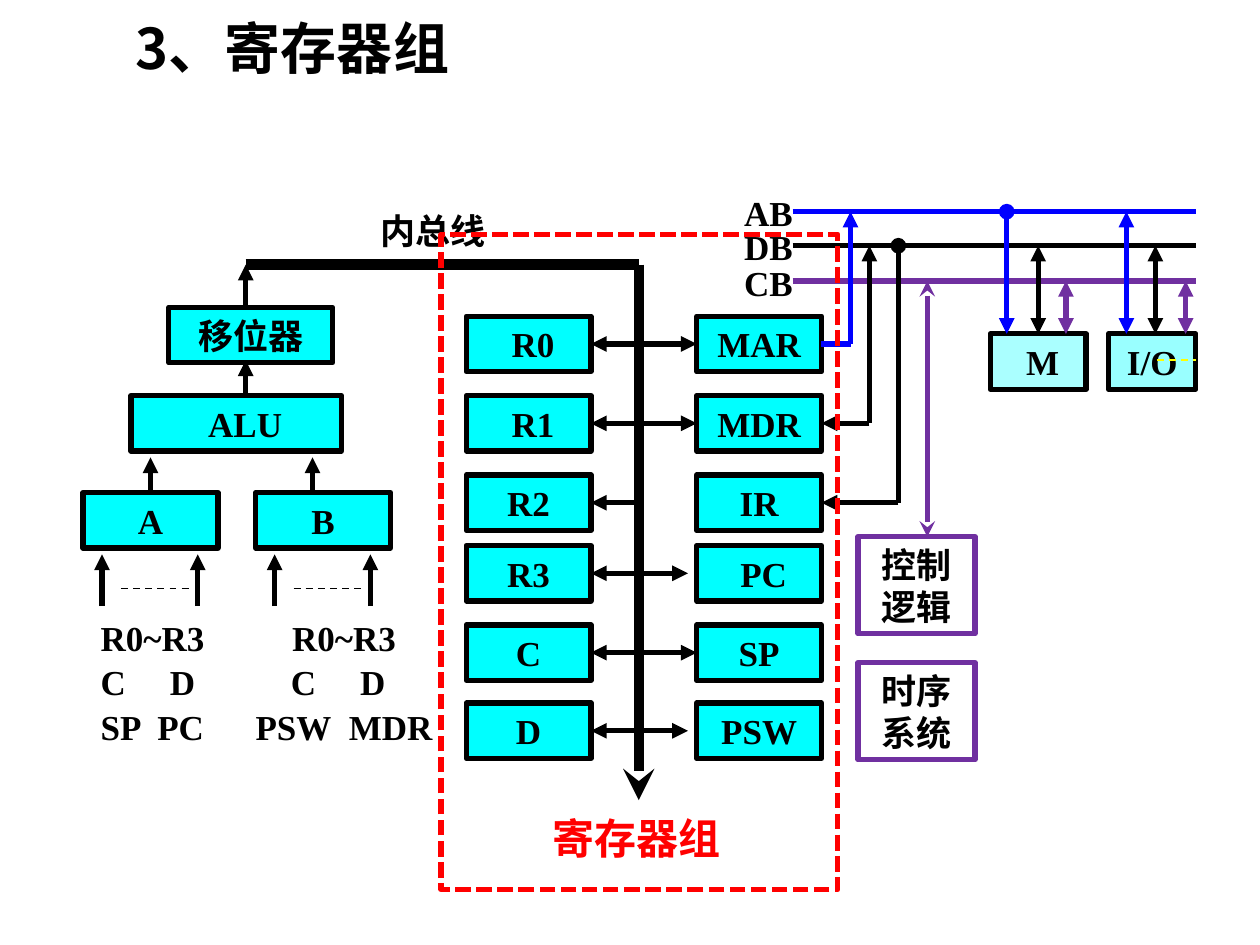
from lxml.etree import SubElement
from pptx import Presentation
from pptx.dml.color import RGBColor
from pptx.enum.dml import MSO_LINE_DASH_STYLE as DASH
from pptx.enum.shapes import MSO_CONNECTOR, MSO_SHAPE
from pptx.enum.text import MSO_ANCHOR, PP_ALIGN
from pptx.oxml.ns import qn
from pptx.util import Inches, Pt

LATIN, CJK = "Times New Roman", "Noto Sans CJK SC"
BLACK, BLUE, PURPLE, RED = "000000", "0000FF", "7030A0", "FF0000"
CYAN = "00FFFF"
TOP, LEFT, RIGHT = 0, 1, 3
BOX_HEIGHT = 4.4

presentation = Presentation()
presentation.slide_width = Inches(10)
presentation.slide_height = Inches(7.5)
slide = presentation.slides.add_slide(presentation.slide_layouts[6])
CELL = presentation.slide_width / 100  # the slide is 100 columns by 75 rows
color_of = RGBColor.from_string


def add_box(label, column, row, columns, rows=BOX_HEIGHT, fill=None, border=None,
            size=20, font=LATIN, color=BLACK, align=PP_ALIGN.CENTER, indent=0):
    """Add a bordered rectangle, or a plain text box when there is no border."""
    place = [round(n * CELL) for n in (column, row, columns, rows)]
    if border:
        shape = slide.shapes.add_shape(MSO_SHAPE.RECTANGLE, *place)
        shape.shadow.inherit = False
        shape.line.color.rgb = color_of(border)
        shape.line.width = Pt(3)
        if fill:
            shape.fill.solid()
            shape.fill.fore_color.rgb = color_of(fill)
        else:
            shape.fill.background()
    else:
        shape = slide.shapes.add_textbox(*place)
    frame = shape.text_frame
    frame.word_wrap = True
    frame.vertical_anchor = MSO_ANCHOR.MIDDLE
    frame.margin_left = round((1 + indent) * CELL)
    for index, line in enumerate(label.splitlines()):
        paragraph = frame.add_paragraph() if index else frame.paragraphs[0]
        paragraph.alignment = align
        run = paragraph.add_run()
        run.text = line
        run.font.name = font
        run.font.size = Pt(size)
        run.font.bold = True
        run.font.color.rgb = color_of(color)
        SubElement(run.font._element, qn("a:ea"), typeface=CJK)
    return shape


def add_line(x1, y1, x2, y2, color=BLACK, width=3, head=None, tail=None, dash=None):
    """Add a straight line; head is the arrowhead at its start, tail at its end."""
    ends = [round(n * CELL) for n in (x1, y1, x2, y2)]
    line = slide.shapes.add_connector(MSO_CONNECTOR.STRAIGHT, *ends)
    line.line.color.rgb = color_of(color)
    line.line.width = Pt(width)
    if dash:
        line.line.dash_style = dash
    outline = line.line._get_or_add_ln()
    for tag, arrow in (("a:headEnd", head), ("a:tailEnd", tail)):
        if arrow:
            SubElement(outline, qn(tag), type=arrow)
    SubElement(line._element.spPr, qn("a:effectLst"))
    return line


add_box("3、寄存器组", 9.8, 0.5, 66.1, 6.4, size=32, font=CJK, align=PP_ALIGN.LEFT)

# Arithmetic unit: latches A and B feed the ALU, then the shifter
latch_a = add_box("A", 6.6, 39.1, 10.7, fill=CYAN, border=BLACK)
add_box("B", 20.3, 39.1, 10.7, fill=CYAN, border=BLACK)
add_box("ALU", 10.4, 31.4, 16.7, fill=CYAN, border=BLACK, indent=1.4)
add_box("移位器", 13.4, 24.4, 13, fill=CYAN, border=BLACK)
add_line(11.95, 39.1, 11.95, 36.3, tail="triangle").begin_connect(latch_a, TOP)
for x, start, end in ((24.8, 39.1, 36.3), (19.5, 31.4, 28.6), (19.5, 24.4, 21)):
    add_line(x, start, x, end, tail="triangle")
for x in (8.1, 21.8):
    for input_x in (x, x + 7.6):
        add_line(input_x, 48.1, input_x, 44, tail="triangle")
    add_line(x + 1.5, 46.7, x + 6.9, 46.7, width=1, dash=DASH.DASH)

sources = add_box("R0~R3\tR0~R3\nC\tD\tC\tD\nSP\tPC\tPSW\tMDR", 7, 49.6, 29.2, 10.4,
                  align=PP_ALIGN.LEFT)
sources.text_frame.vertical_anchor = MSO_ANCHOR.TOP
tab_rows = ((15.2,), (5.5, 15.1, 20.6), (4.5, 12.3, 19.7))
for index, (paragraph, stops) in enumerate(zip(sources.text_frame.paragraphs, tab_rows)):
    paragraph.line_spacing = 0.6
    if index:
        paragraph.space_before = Pt(11)
    tabs = SubElement(paragraph._p.get_or_add_pPr(), qn("a:tabLst"))
    for stop in stops:
        SubElement(tabs, qn("a:tab"), pos=str(round(stop * CELL)), algn="l")

# Internal bus
add_box("内总线", 26.4, 16.1, 16)
add_line(19.5, 21, 50.7, 21, width=6)
add_line(50.7, 21, 50.7, 63.5, width=6, tail="stealth")

# Registers: row, left name and indent, right name and indent, end of the bus link
REGISTER_WIDTH, LEFT_X, RIGHT_X = 9.9, 37, 55.3
registers = (
    (25.1, "R0", 0.7, "MAR", 0, RIGHT_X),
    (31.4, "R1", 0.7, "MDR", 0, RIGHT_X),
    (37.7, "R2", 0, "IR", 0, 50.8),
    (43.3, "R3", 0, "PC", 0.7, 54.6),
    (49.6, "C", 0, "SP", 0, RIGHT_X),
    (55.8, "D", 0, "PSW", 0, 54.6),
)
right_register = {}
for row, left_name, left_indent, right_name, right_indent, link_end in registers:
    left_box = add_box(left_name, LEFT_X, row, REGISTER_WIDTH, fill=CYAN,
                       border=BLACK, indent=left_indent)
    right_box = add_box(right_name, RIGHT_X, row, REGISTER_WIDTH, fill=CYAN,
                        border=BLACK, indent=right_indent)
    right_register[right_name] = right_box
    middle = row + BOX_HEIGHT / 2
    link = add_line(link_end, middle, LEFT_X + REGISTER_WIDTH, middle,
                    head=None if right_name == "IR" else "triangle", tail="triangle")
    link.end_connect(left_box, RIGHT)
    if link_end == RIGHT_X:
        link.begin_connect(right_box, LEFT)

# System buses
AB_ROW, DB_ROW, CB_ROW = 16.8, 19.5, 22.3
for name, row, color in (("AB", AB_ROW, BLUE), ("DB", DB_ROW, BLACK),
                         ("CB", CB_ROW, PURPLE)):
    add_box(name, 56.8, row - 2.1, 8.4)
    add_line(62.9, row, 94.9, row, color)

# Registers to system buses: name, column of the riser, bus row, colour, arrow at register
for name, x, bus, color, arrow in (("MAR", 67.5, AB_ROW, BLUE, None),
                                   ("MDR", 69, DB_ROW, BLACK, "triangle"),
                                   ("IR", 71.3, DB_ROW, BLACK, "triangle")):
    box = right_register[name]
    middle = (box.top + box.height / 2) / CELL
    add_line(x, middle, RIGHT_X + REGISTER_WIDTH, middle, color,
             tail=arrow).end_connect(box, RIGHT)
    add_line(x, middle, x, bus, color, tail="oval" if name == "IR" else "triangle")

# Memory and input/output
DEVICE_ROW = 26.5
memory = add_box("M", 78.6, DEVICE_ROW, 7.6, fill="AAFFFF", border=BLACK, indent=0.7)
add_box("I/O", 88, DEVICE_ROW, 6.9, fill="99FFFF", border=BLACK)
for x, head in ((79.9, "oval"), (89.4, "triangle")):
    add_line(x, AB_ROW, x, DEVICE_ROW, BLUE, head=head, tail="triangle")
    add_line(x + 4.7, CB_ROW, x + 4.7, DEVICE_ROW, PURPLE, head="triangle", tail="triangle")
add_line(82.4, DB_ROW, 82.4, DEVICE_ROW, head="triangle",
         tail="triangle").end_connect(memory, TOP)
add_line(91.7, DB_ROW, 91.7, DEVICE_ROW, head="triangle", tail="triangle")
add_line(91.8, 28.6, 94.9, 28.6, "FFFF00", width=1, dash=DASH.DASH)

# Control and timing
add_line(73.6, CB_ROW, 73.6, 42.6, PURPLE, head="stealth", tail="stealth")
for name, row in (("控制逻辑", 42.6), ("时序系统", 52.6)):
    add_box(name, 68.1, row, 9.3, 7.7, border=PURPLE)

# Register group outline
group_outline = add_box("", 35, 18.6, 31.5, 52, border=RED)
group_outline.line.dash_style = DASH.SQUARE_DOT
add_box("寄存器组", 42.9, 64, 15.7, 5, size=24, font=CJK, color=RED, align=PP_ALIGN.LEFT)

presentation.save("out.pptx")
